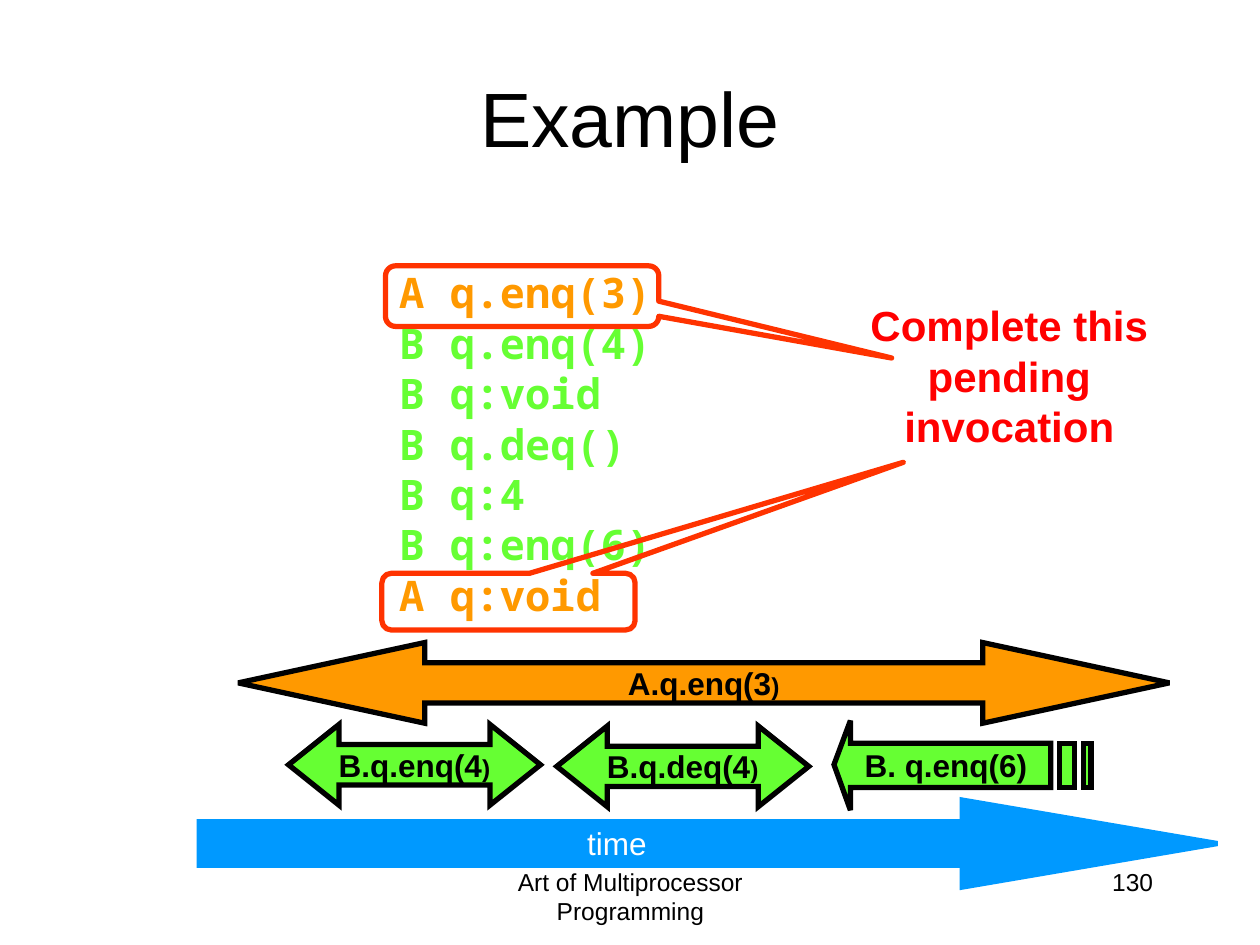
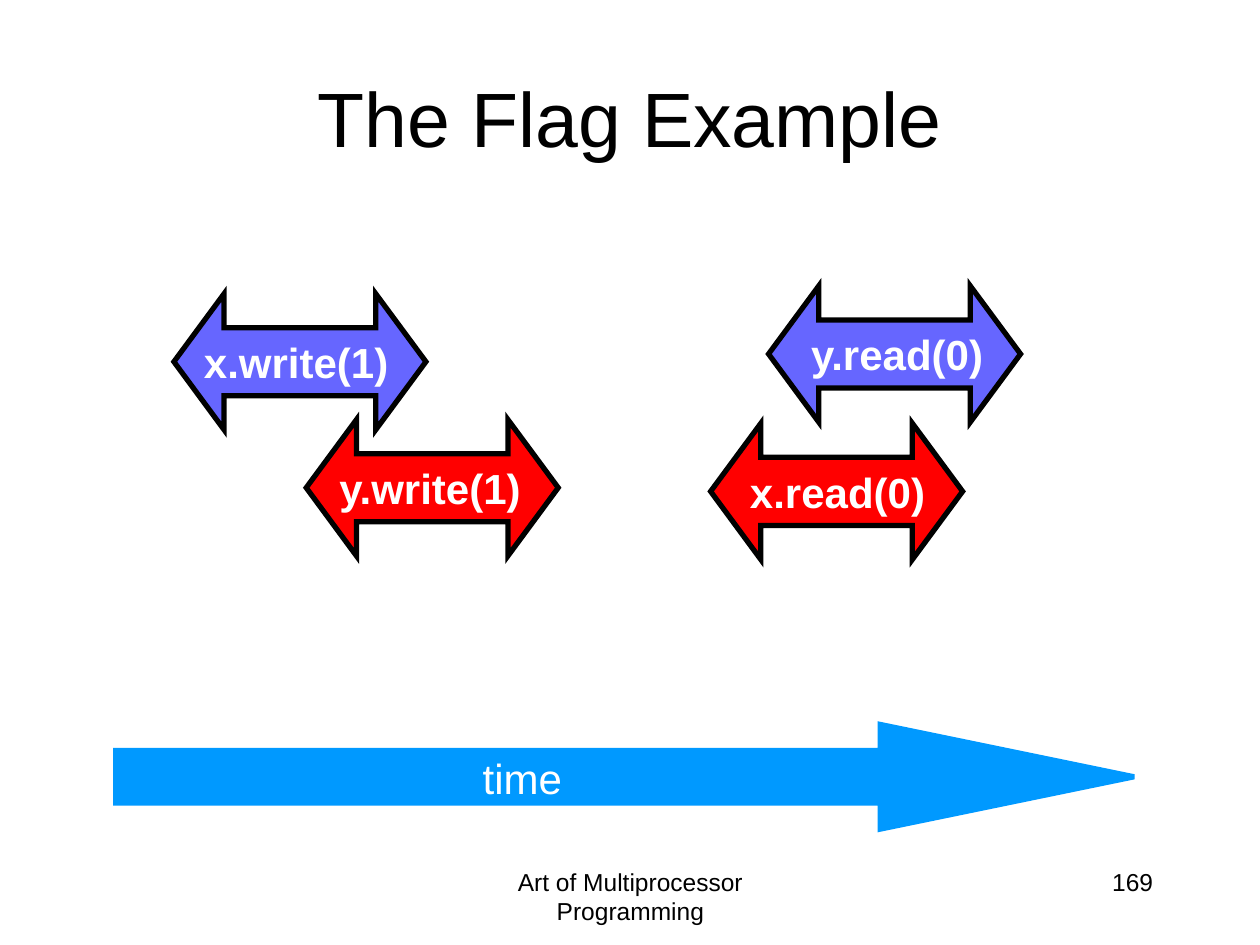
"""Build two slides on concurrent queue histories and flag registers."""
import pptx
import pptx.util
import pptx.dml.color
import pptx.enum.shapes
import pptx.enum.text
import lxml.etree
import pptx.oxml.ns

Pt = pptx.util.Pt
RGB = pptx.dml.color.RGBColor
SHAPE = pptx.enum.shapes.MSO_SHAPE
ALIGN = pptx.enum.text.PP_ALIGN
ANCHOR = pptx.enum.text.MSO_ANCHOR

BLACK = RGB(0x00, 0x00, 0x00)
WHITE = RGB(0xFF, 0xFF, 0xFF)
RED = RGB(0xFF, 0x00, 0x00)
CALLOUT_RED = RGB(0xFF, 0x33, 0x00)
ORANGE = RGB(0xFF, 0x99, 0x00)
GREEN = RGB(0x66, 0xFF, 0x33)
VIOLET = RGB(0x66, 0x66, 0xFF)
TIME_BLUE = RGB(0x00, 0x99, 0xFF)
SANS = "Arial"
MONO = "Noto Sans Mono"

FOOTER = "Art of Multiprocessor Programming"
THREAD_COLOURS = {"A": ORANGE, "B": GREEN}
HISTORY = ["A q.enq(3)", "B q.enq(4)", "B q:void", "B q.deq()",
           "B q:4", "B q:enq(6)", "A q:void"]
ADVICE = ["Complete this pending", "invocation"]
INVOCATION_CALLOUT = ((220.3, 151.9, 156.2, 34.6), (1.352, 1.022, 0.167))
RESPONSE_CALLOUT = ((218.2, 327.6, 144.7, 32.4), (1.559, -2.458, 0.167))
QUEUE_CALLS = [
    ("B.q.enq(4", GREEN, (164.9, 414, 144, 46.1), 0.626),
    ("B.q.deq(4", GREEN, (318.2, 414.9, 144, 46.1), 0.626),
]
LONG_CALL = ("A.q.enq(3", ORANGE, (136.1, 367.2, 532.1, 46.1), 2.313)
PENDING_CALL = "B. q.enq(6)"
PENDING_HEAD = [(486, 411.8), (486, 424.8), (600.5, 424.8), (600.5, 450),
                (486, 450), (486, 463), (476.6, 437)]
PENDING_DASHES = [(605.5, 614.2), (619.2, 623.5)]
FLAG_CALLS = [
    ("x.write(1)", VIOLET, 99.4, 167.8),
    ("y.read(0)", VIOLET, 439.2, 163.4),
    ("y.write(1)", RED, 175, 239.8),
    ("x.read(0)", RED, 406.1, 241.9),
]


def write(shape, paragraphs, align, anchor=ANCHOR.TOP, wrap=True):
    """Fill a shape with paragraphs of (text, size, colour, bold, font) runs."""
    frame = shape.text_frame
    frame.word_wrap = wrap
    frame.vertical_anchor = anchor
    for index, runs in enumerate(paragraphs):
        paragraph = frame.paragraphs[0] if index == 0 else frame.add_paragraph()
        paragraph.alignment = align
        for text, size, colour, bold, face in runs:
            run = paragraph.add_run()
            run.text = text
            run.font.size = Pt(size)
            run.font.color.rgb = colour
            run.font.bold = bold
            run.font.name = face


def add_text(slide, box, paragraphs, align, **layout):
    """Add a text box."""
    write(slide.shapes.add_textbox(*map(Pt, box)), paragraphs, align, **layout)


def style(shape, fill, line, mitred=True):
    """Give a shape its fill and 3-point outline."""
    shape.shadow.inherit = False
    if fill is None:
        shape.fill.background()
    else:
        shape.fill.solid()
        shape.fill.fore_color.rgb = fill
    shape.line.color.rgb = line
    shape.line.width = Pt(3)
    outline = shape.line._get_or_add_ln()
    join = lxml.etree.SubElement(
        outline, pptx.oxml.ns.qn("a:miter" if mitred else "a:round"))
    if mitred:
        join.set("lim", "800000")


def add_preset(slide, kind, box, adjustments, fill, line, mitred=True):
    """Add an adjusted preset shape."""
    shape = slide.shapes.add_shape(kind, *map(Pt, box))
    for index, value in enumerate(adjustments):
        shape.adjustments[index] = value
    style(shape, fill, line, mitred)
    return shape


def add_call(slide, box, head, fill, runs, align=ALIGN.CENTER):
    """Add a double arrow that spans one method call."""
    arrow = add_preset(slide, SHAPE.LEFT_RIGHT_ARROW, box, (0.5, head), fill, BLACK)
    write(arrow, [runs], align, ANCHOR.MIDDLE, False)


def add_queue_call(slide, name, fill, box, head):
    """Add a queue call whose closing bracket is smaller."""
    add_call(slide, box, head, fill, [(name, 18, BLACK, True, SANS),
                                      (")", 14, BLACK, True, SANS)])


def add_callout(slide, box, adjustments):
    """Add an unfilled speech callout."""
    add_preset(slide, SHAPE.ROUNDED_RECTANGULAR_CALLOUT, box, adjustments,
               None, CALLOUT_RED, mitred=False)


def add_time_arrow(slide, box, head, label_box, size):
    """Add the time axis with its label."""
    add_preset(slide, SHAPE.RIGHT_ARROW, box, (0.5, head), TIME_BLUE, TIME_BLUE)
    add_text(slide, label_box, [[("time", size, WHITE, False, SANS)]],
             ALIGN.RIGHT, wrap=False)


def add_pending_call(slide):
    """Add the call that has not returned, trailing off in dashes."""
    top, bottom = PENDING_HEAD[1][1], PENDING_HEAD[3][1]
    outlines = [PENDING_HEAD] + [
        [(right, top), (right, bottom), (left, bottom), (left, top)]
        for left, right in PENDING_DASHES]
    builder = None
    for outline in outlines:
        start, *rest = [(Pt(x), Pt(y)) for x, y in outline]
        if builder is None:
            builder = slide.shapes.build_freeform(*start)
        else:
            builder.move_to(*start)
        builder.add_line_segments(rest, close=True)
    pending = builder.convert_to_shape()
    style(pending, GREEN, BLACK)
    pending.text_frame.margin_right = Pt(26)
    write(pending, [[(PENDING_CALL, 18, BLACK, True, SANS)]],
          ALIGN.CENTER, ANCHOR.MIDDLE, False)


def add_slide(deck, title, number):
    """Add a slide with footer, number and title."""
    slide = deck.slides.add_slide(deck.slide_layouts[6])
    add_text(slide, (246.2, 491.8, 228.2, 36),
             [[(FOOTER, 14, BLACK, False, SANS)]], ALIGN.CENTER)
    add_text(slide, (516.2, 491.8, 149.8, 36),
             [[(number, 14, BLACK, False, SANS)]], ALIGN.RIGHT)
    add_text(slide, (36, 21.6, 648, 90), [[(title, 44, BLACK, False, SANS)]],
             ALIGN.CENTER, anchor=ANCHOR.MIDDLE)
    return slide


def build_queue_slide(deck):
    """Show a queue history and its timeline."""
    slide = add_slide(deck, "Example", "130")
    add_callout(slide, *INVOCATION_CALLOUT)
    add_text(slide, (463, 167.8, 227.5, 94.3),
             [[(line, 24, RED, True, SANS)] for line in ADVICE], ALIGN.CENTER)
    add_time_arrow(slide, (113.8, 457.2, 581.8, 49.7), 2.932,
                   (327.6, 467.3, 49, 28.8), 18)
    for call in QUEUE_CALLS:
        add_queue_call(slide, *call)
    add_pending_call(slide)
    add_queue_call(slide, *LONG_CALL)
    add_text(slide, (221, 149, 219.6, 208.8),
             [[(event, 24, THREAD_COLOURS[event[0]], True, MONO)]
              for event in HISTORY], ALIGN.LEFT)
    add_callout(slide, *RESPONSE_CALLOUT)


def build_flag_slide(deck):
    """Show overlapping flag reads and writes."""
    slide = add_slide(deck, "The Flag Example", "169")
    for name, fill, left, top in FLAG_CALLS:
        add_call(slide, (left, top, 144, 77.8), 0.369, fill,
                 [(name, 24, WHITE, True, SANS)], ALIGN.RIGHT)
    add_time_arrow(slide, (66.2, 414, 581.8, 59.8), 2.425,
                   (267.8, 426.2, 60.5, 36.7), 24)


def main():
    """Build and save the deck."""
    deck = pptx.Presentation()
    deck.slide_width, deck.slide_height = Pt(720), Pt(540)
    build_queue_slide(deck)
    build_flag_slide(deck)
    deck.save("out.pptx")


if __name__ == "__main__":
    main()
